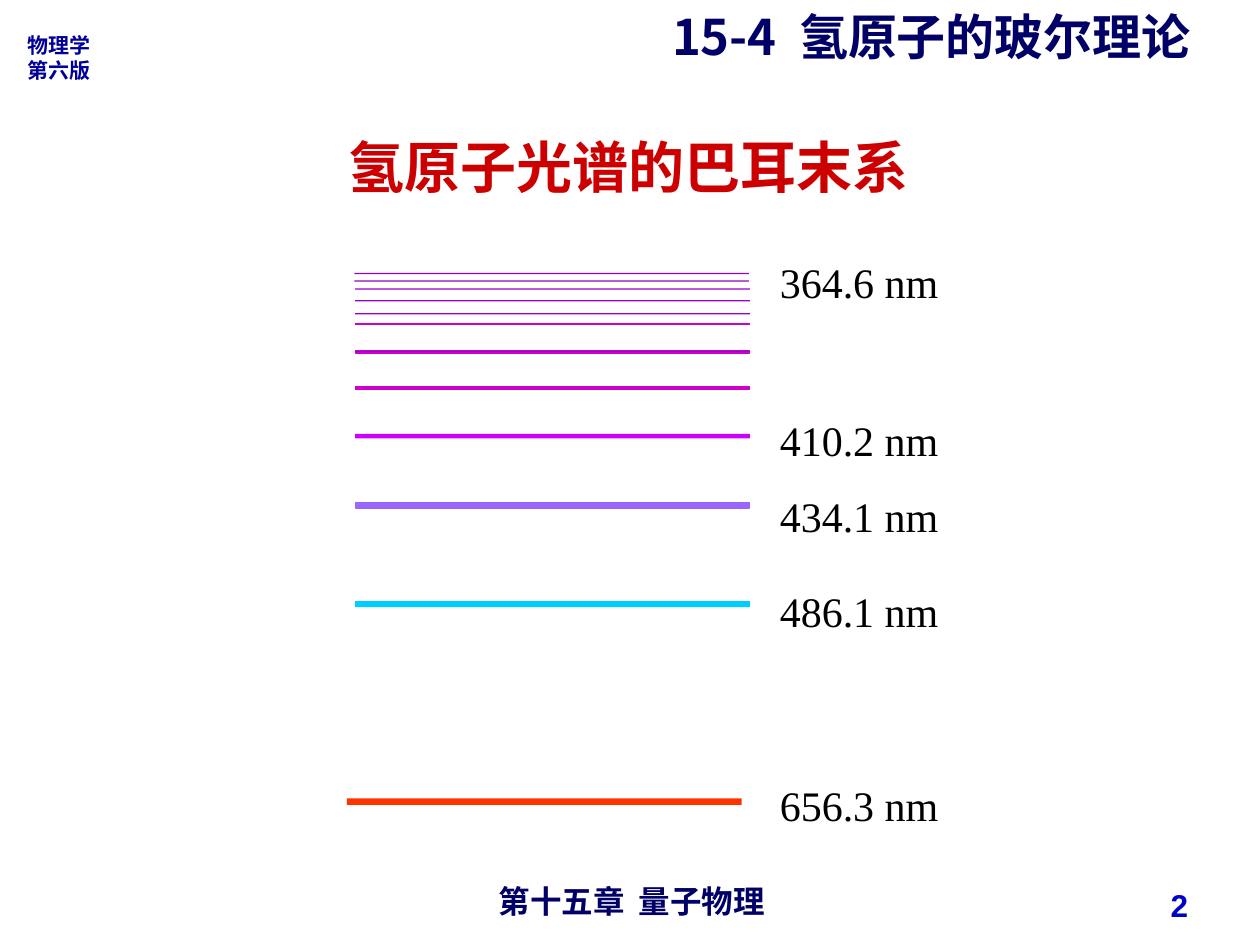
from lxml import etree
from pptx import Presentation
from pptx.dml.color import RGBColor
from pptx.enum import shapes, text
from pptx.oxml.ns import qn
from pptx.util import Pt

CJK = "Noto Sans CJK SC"
SERIF = "Times New Roman"
SANS = "Arial"
LEFT, MID, RIGHT = text.PP_ALIGN.LEFT, text.PP_ALIGN.CENTER, text.PP_ALIGN.RIGHT

# Spectral lines: top, height, fill, outline, shift from the common left edge
LINES = [
    (156, 0.75, "9900CC", None, -0.5),
    (160.25, 0.75, "9900CC", None, -0.5),
    (164.75, 0.75, "9900CC", None, 0),
    (171.5, 0.75, "9900CC", None, 0),
    (179, 0.75, "9900CC", None, 0),
    (184.75, 0.75, "CC00CC", "CC00CC", 0),
    (200.25, 1.5, "9900CC", "CC00CC", 0),
    (220.75, 1.75, "CC00CC", "CC00CC", 0),
    (248, 2.5, "CC00FF", None, 0),
    (287.25, 3, "9966FF", "9966FF", 0),
    (343.5, 3.5, "00CCFF", None, 0),
    (456.25, 3.75, "FF3300", None, -4.75),
]
# Wavelength labels: top and wording
LABELS = [(143, "364.6 nm"), (233, "410.2 nm"), (276.5, "434.1 nm"),
          (331, "486.1 nm"), (442, "656.3 nm")]


def color(code):
    return RGBColor.from_string(code)


def write(shape, words, size, font, code, bold=True, align=LEFT):
    frame = shape.text_frame
    frame.text = words
    frame.word_wrap = True
    frame.auto_size = text.MSO_AUTO_SIZE.NONE
    frame.vertical_anchor = text.MSO_ANCHOR.MIDDLE
    for para in frame.paragraphs:
        para.alignment = align
        para.space_before = Pt(0)
        for run in para.runs:
            run.font.size = Pt(size)
            run.font.bold = bold
            run.font.name = font
            run.font.color.rgb = color(code)
            east = etree.SubElement(run.font._element, qn("a:ea"))
            east.set("typeface", CJK)


def label(parent, box, words, *style, **more):
    write(parent.add_textbox(*map(Pt, box)), words, *style, **more)


def bar(parent, box, fill, edge):
    shape = parent.add_shape(shapes.MSO_SHAPE.RECTANGLE, *map(Pt, box))
    shape.shadow.inherit = False
    shape.fill.solid()
    shape.fill.fore_color.rgb = color(fill)
    if edge:
        shape.line.color.rgb = color(edge)
        shape.line.width = Pt(0.75)
    else:
        shape.line.fill.background()


def header(slide, left, top, width):
    label(slide.shapes, (left + 8.5, top + 15, 52, 36), "物理学\n第六版",
          12, CJK, "000099")
    label(slide.shapes, (left + width - 343, top, 348, 41),
          "15-4  氢原子的玻尔理论", 28, CJK, "000066")


def title(slide, left, top, width, height):
    shape = slide.shapes.title
    shape.left, shape.top = Pt(left), Pt(top)
    shape.width, shape.height = Pt(width), Pt(height)
    write(shape, "氢原子光谱的巴耳末系", 32, SERIF, "CC0000")


def spectrum(slide, left, width, gap):
    group = slide.shapes.add_group_shape().shapes
    for top, height, fill, edge, shift in LINES:
        bar(group, (left + shift, top, width, height), fill, edge)
    for top, words in LABELS:
        label(group, (left + width + gap, top, 110, 36), words,
              24, SERIF, "000000", bold=False)


def footer(slide, left, top, width):
    label(slide.shapes, (left + 247, top + 2, 228, 21), "第十五章  量子物理",
          18, SANS, "000066", align=MID)
    label(slide.shapes, (left + width - 202, top, 168, 29), "2",
          18, SANS, "0000CC", align=RIGHT)


def main():
    deck = Presentation()
    deck.slide_width, deck.slide_height = Pt(720), Pt(540)
    slide = deck.slides.add_slide(deck.slide_layouts[5])
    header(slide, 0, 0, 720)
    title(slide, 192, 72, 468, 46)
    spectrum(slide, 203, 225.5, 10)
    footer(slide, 0, 502.5, 720)
    deck.save("out.pptx")


if __name__ == "__main__":
    main()
